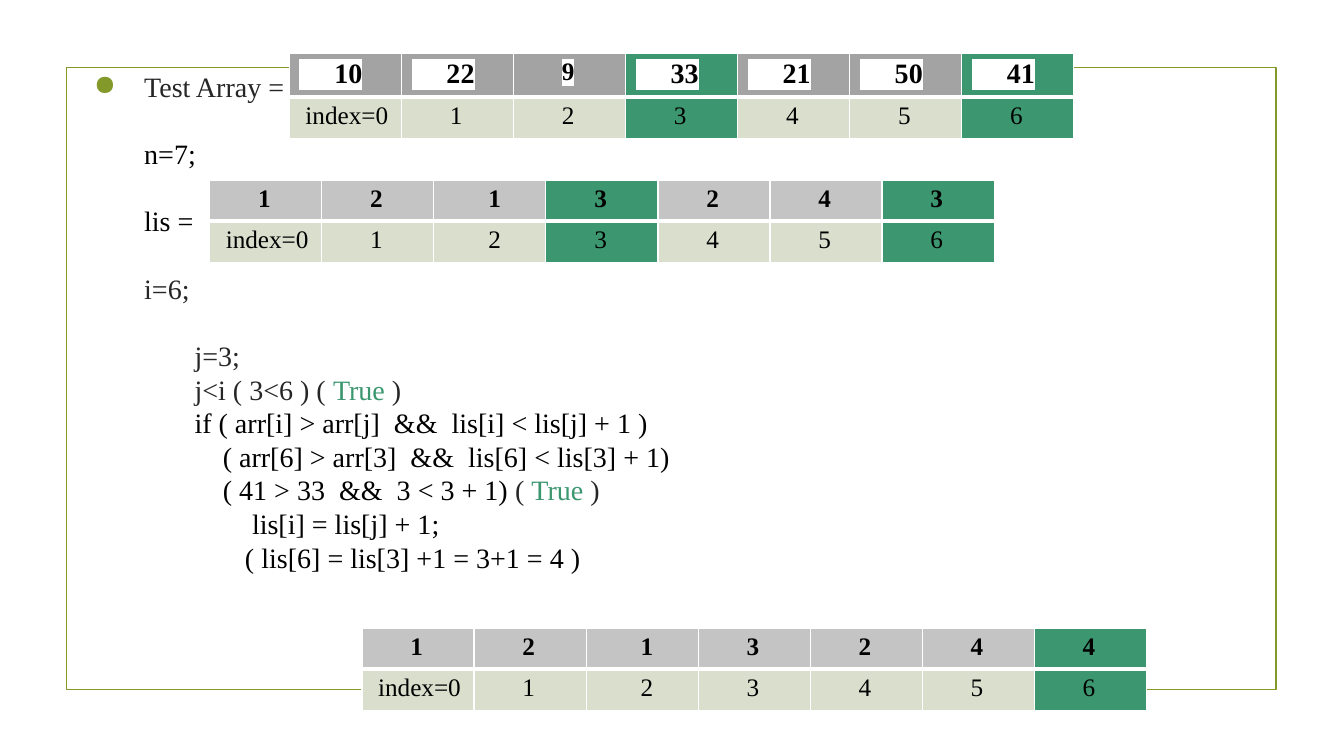
"""Build a slide tracing one step of the longest increasing subsequence."""
from lxml import etree
from pptx import Presentation
from pptx.dml.color import RGBColor
from pptx.enum.shapes import MSO_SHAPE
from pptx.oxml.ns import qn
from pptx.util import Inches, Pt

RECT = MSO_SHAPE.RECTANGLE
FONT = "Times New Roman"
WHITE = RGBColor(0xFF, 0xFF, 0xFF)
BLACK = RGBColor(0, 0, 0)
DARK = RGBColor(0x26, 0x26, 0x26)
OLIVE = RGBColor(0x83, 0x99, 0x2A)
GREEN = RGBColor(0x3C, 0x97, 0x70)
GRAY = RGBColor(0xA3, 0xA3, 0xA3)
SILVER = RGBColor(0xC4, 0xC4, 0xC4)
PALE = RGBColor(0xD9, 0xDE, 0xCD)

# Each line: left indent, blank space above in points, runs of text and colour
LINES = [
    (0.67, 0, [("Test Array =", DARK)]),
    (0.67, 24, [("n=7;", BLACK)]),
    (0.67, 24, [("lis =", BLACK)]),
    (0.67, 24, [("i=6;", DARK)]),
    (1.17, 24, [("j=3;", DARK)]),
    (1.17, 0, [("j<i ( 3<6 ) ( ", DARK), ("True", GREEN), (" )", DARK)]),
    (1.17, 0, [("if ( arr[i] > arr[j]  &&  lis[i] < lis[j] + 1 )", BLACK)]),
    (1.45, 0, [("( arr[6] > arr[3]  &&  lis[6] < lis[3] + 1)", BLACK)]),
    (1.45, 0, [("( 41 > 33  &&  3 < 3 + 1) ", BLACK), ("( ", DARK),
               ("True", GREEN), (" )", DARK)]),
    (1.74, 0, [("lis[i] = lis[j] + 1;", BLACK)]),
    (1.67, 0, [("( lis[6] = lis[3] +1 = 3+1 = 4 )", BLACK)]),
]
INDEX = ["index=0", "1", "2", "3", "4", "5", "6"]
# Each table: left, top, row heights, head fill, green columns, shift of column 2, values
TABLES = [
    (3.59, 6.23, (0.41, 0.41), SILVER, {6}, 0.06, [1, 2, 1, 3, 2, 4, 4]),
    (2.87, 0.53, (0.42, 0.41), GRAY, {3, 6}, 0, [10, 22, 9, 33, 21, 50, 41]),
    (2.08, 1.79, (0.39, 0.41), SILVER, {3, 6}, 0.06, [1, 2, 1, 3, 2, 4, 3]),
]
COL = 7.78 / 7


def add_frame(slide):
    frame = slide.shapes.add_shape(RECT, Inches(0.66), Inches(0.67),
                                   Inches(12), Inches(6.17))
    frame.shadow.inherit = False
    frame.fill.background()
    frame.line.color.rgb = OLIVE
    frame.line.width = Pt(1.25)


def add_bullet(props):
    tint = etree.SubElement(props, qn("a:buClr"))
    etree.SubElement(tint, qn("a:srgbClr"), val=str(OLIVE))
    etree.SubElement(props, qn("a:buChar"), char="●")


def add_trace(slide):
    box = slide.shapes.add_textbox(Inches(0.63), Inches(0.54),
                                   Inches(11.69), Inches(6.56))
    frame = box.text_frame
    frame.word_wrap = True
    frame.margin_left = frame.margin_right = frame.margin_bottom = Inches(0.13)
    frame.margin_top = Inches(0.15)
    for num, (left, gap, runs) in enumerate(LINES):
        para = frame.add_paragraph() if num else frame.paragraphs[0]
        props = para._p.get_or_add_pPr()
        props.set("marL", str(Inches(left)))
        props.set("indent", str(Inches(0 if num else -0.5)))
        if num == 0:
            add_bullet(props)
        para.line_spacing = Pt(24)
        if gap:
            para.space_before = Pt(gap)
        para.font.size = Pt(20)
        para.font.name = FONT
        for text, color in runs:
            run = para.add_run()
            run.text = text
            run.font.color.rgb = color


def add_edges(cell, widths):
    props = cell._tc.get_or_add_tcPr()
    for side, width in zip("LRTB", widths):
        line = etree.SubElement(props, qn("a:ln" + side), w=str(Pt(width)))
        fill = etree.SubElement(line, qn("a:solidFill"))
        etree.SubElement(fill, qn("a:srgbClr"), val=str(WHITE))


def fill_cell(cell, text, head, color, left):
    add_edges(cell, (1, 1, 1, 3) if head else (1, 1, 3, 1))
    cell.fill.solid()
    cell.fill.fore_color.rgb = color
    wide = head and len(text) == 2
    cell.margin_left = Inches(0.1 if wide else left)
    cell.margin_right = Inches(0.05)
    para = cell.text_frame.paragraphs[0]
    para.font.size = Pt(20 if wide else 18)
    para.font.name = FONT
    para.font.bold = head
    para.font.color.rgb = BLACK
    run = para.add_run()
    run.text = text.rjust(7) if wide else text
    return run


def mark(run):
    light = etree.SubElement(run._r.get_or_add_rPr(), qn("a:highlight"))
    etree.SubElement(light, qn("a:srgbClr"), val=str(WHITE))


def add_array(slide, left, top, rows, tone, picks, shift, values):
    table = slide.shapes.add_table(2, 7, Inches(left), Inches(top),
                                   Inches(7.78), Inches(sum(rows))).table
    table.first_row = table.horz_banding = False
    for col in table.columns:
        col.width = Inches(COL)
    for row, high in enumerate(rows):
        table.rows[row].height = Inches(high)
        for col, text in enumerate(INDEX if row else map(str, values)):
            pad = 0.16 if text == INDEX[0] else 0.48 + shift * (col == 2)
            color = GREEN if col in picks else PALE if row else tone
            run = fill_cell(table.cell(row, col), text, row == 0, color, pad)
            if row == 0 and tone == GRAY:
                mark(run)


def main():
    deck = Presentation()
    deck.slide_width = Inches(13.33)
    deck.slide_height = Inches(7.5)
    slide = deck.slides.add_slide(deck.slide_layouts[6])
    add_frame(slide)
    add_trace(slide)
    for item in TABLES:
        add_array(slide, *item)
    deck.save("out.pptx")


if __name__ == "__main__":
    main()
